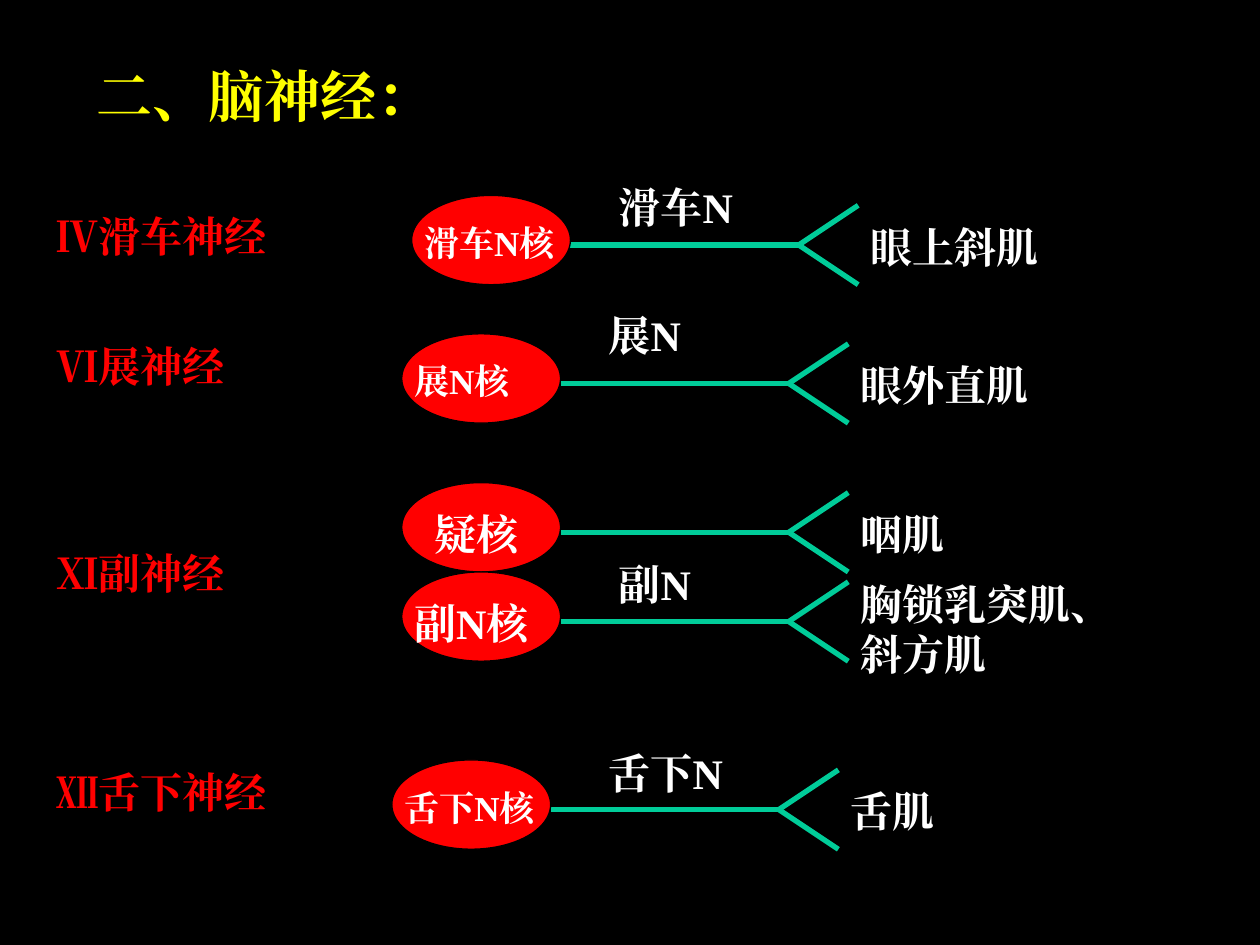
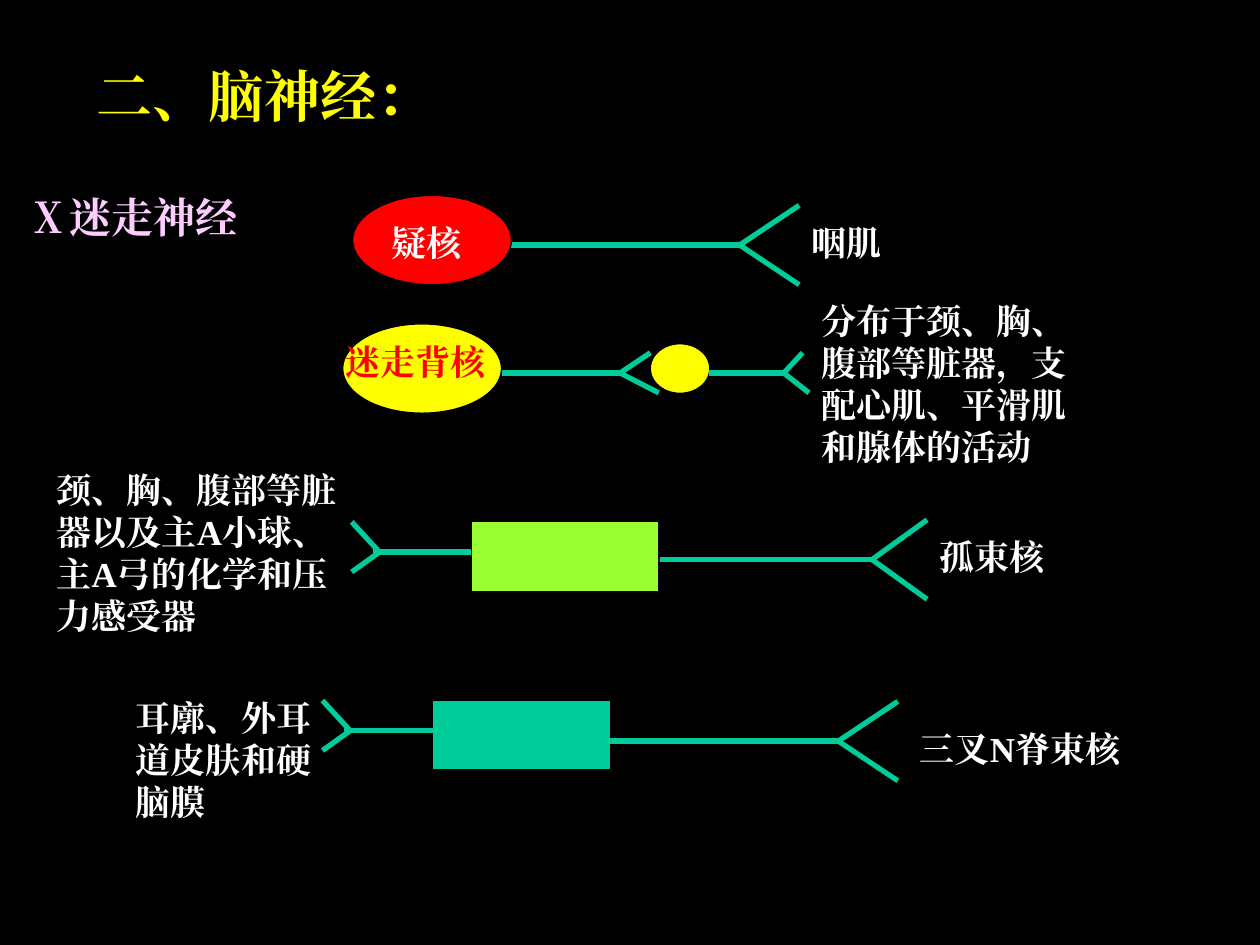
from dataclasses import dataclass

from lxml import etree
from pptx import Presentation
from pptx.dml.color import RGBColor
from pptx.enum import shapes, text
from pptx.oxml import ns
from pptx.util import Cm, Pt


@dataclass(frozen=True)
class Theme:
    font: str = "Times New Roman"
    black: str = "000000"
    white: str = "FFFFFF"
    red: str = "FF0000"
    yellow: str = "FFFF00"
    pink: str = "FFCCFF"
    teal: str = "00CC99"
    lime: str = "99FF33"
    title: int = 32
    body: int = 24
    small: int = 20
    stroke: float = 3
    outline: float = 0.75


T = Theme()
OVAL = shapes.MSO_SHAPE.OVAL
RECT = shapes.MSO_SHAPE.RECTANGLE

# Geometry of a motor nucleus and its nerve, in cm
CELL_W, CELL_H = 3.2, 1.8
AXIS_DY = 1.0
AXON = 4.6
FORK_DX, FORK_DY = 1.2, 0.8
LABEL_DY = 0.4


def rgb(color):
    return RGBColor.from_string(color)


# Basic elements
def add_text(sl, x, y, w, words, size=T.body, color=T.white, indent=0):
    sp = sl.shapes.add_textbox(Cm(x), Cm(y), Cm(w), Pt(size * 1.2 + 7.2))
    tf = sp.text_frame
    tf.word_wrap = True
    tf.auto_size = text.MSO_AUTO_SIZE.SHAPE_TO_FIT_TEXT
    p = tf.paragraphs[0]
    if indent:
        p._p.get_or_add_pPr().set("indent", str(Cm(indent)))
    r = p.add_run()
    r.text = words
    r.font.size, r.font.bold, r.font.name = Pt(size), True, T.font
    r.font.color.rgb = rgb(color)
    ea = etree.SubElement(r._r.get_or_add_rPr(), ns.qn("a:ea"))
    ea.set("typeface", T.font)


def add_body(sl, kind, x, y, w, h, color):
    sp = sl.shapes.add_shape(kind, Cm(x), Cm(y), Cm(w), Cm(h))
    sp.shadow.inherit = False
    sp.fill.solid()
    sp.fill.fore_color.rgb = rgb(color)
    sp.line.color.rgb = rgb(T.black)
    sp.line.width = Pt(T.outline)


def add_line(sl, start, end):
    ends = [Cm(v) for v in (*start, *end)]
    ln = sl.shapes.add_connector(shapes.MSO_CONNECTOR.STRAIGHT, *ends)
    ln.line.color.rgb = rgb(T.teal)
    ln.line.width = Pt(T.stroke)
    etree.SubElement(ln._element.spPr, ns.qn("a:effectLst"))


# Nerve elements
def add_fibre(sl, x, y, joint_x, prongs, overrun=0):
    """Draw a fibre along y that splits into prongs at joint_x."""
    add_line(sl, (x, y), (joint_x - overrun, y))
    for tip in prongs:
        add_line(sl, (joint_x, y), tip)


def add_motor_row(sl, x, y, nucleus, size, muscle, muscle_size=T.body,
                  indent=0, muscle_dy=LABEL_DY):
    axis, joint = y + AXIS_DY, x + CELL_W + AXON
    tip = joint + FORK_DX
    add_fibre(sl, x + CELL_W, axis, joint,
              [(tip, axis - FORK_DY), (tip, axis + FORK_DY)])
    add_body(sl, OVAL, x, y, CELL_W, CELL_H, T.red)
    add_text(sl, x, y + LABEL_DY, 3.6, nucleus, size, indent=indent)
    add_text(sl, tip, y + muscle_dy, 4.8, muscle, muscle_size)


def add_sensory_row(sl, ganglion, color, root, endings):
    """root: start x, y, joint x, fork width; endings: start x, y, joint x."""
    add_body(sl, RECT, *ganglion, color)
    x, y, joint, fork = root
    add_fibre(sl, x, y, joint,
              [(joint + fork, y - FORK_DY), (joint + fork, y + FORK_DY)])
    x, y, joint = endings
    add_fibre(sl, x, y, joint,
              [(joint - 0.56, y + 0.4), (joint - 0.56, y - 0.61)], overrun=0.13)


def new_slide(prs):
    sl = prs.slides.add_slide(prs.slide_layouts[6])
    sl.background.fill.solid()
    sl.background.fill.fore_color.rgb = rgb(T.black)
    add_text(sl, 1.7, 1.12, 8.1, "二、脑神经：", T.title, T.yellow)
    return sl


# Slides
def motor_slide(prs):
    sl = new_slide(prs)
    for y, w, name in [(4.11, 5.6, "Ⅳ滑车神经"), (6.73, 4.6, "Ⅵ展神经"),
                       (10.92, 4.0, "Ⅺ副神经"), (15.32, 5.0, "Ⅻ舌下神经")]:
        add_text(sl, 0.89, y, w, name, color=T.red)

    add_motor_row(sl, 8.3, 3.94, "滑车N核", T.small, "眼上斜肌")
    add_motor_row(sl, 8.1, 6.73, "展N核", T.small, "眼外直肌")
    add_motor_row(sl, 8.1, 9.73, "疑核", T.body, "咽肌", indent=0.42)
    add_motor_row(sl, 8.1, 11.53, "副N核", T.body, "胸锁乳突肌、斜方肌",
                  muscle_dy=0)
    add_motor_row(sl, 7.9, 15.32, "舌下N核", T.small, "舌肌")

    for x, y, nerve in [(12.22, 3.53, "滑车N"), (12.02, 6.12, "展N"),
                        (12.22, 11.13, "副N"), (12.02, 14.94, "舌下N")]:
        add_text(sl, x, y, 3.2, nerve)


def vagus_slide(prs):
    sl = new_slide(prs)
    add_text(sl, 0.3, 3.73, 5.0, "Ⅹ迷走神经", color=T.pink)
    add_motor_row(sl, 7.11, 3.94, "疑核", T.small, "咽肌", T.small, indent=0.53)

    # Dorsal nucleus, relayed through a ganglion
    axis = 7.52
    add_fibre(sl, 10.11, axis, 12.5, [(13.11, 7.11), (13.28, 7.92)])
    add_body(sl, OVAL, 6.91, 6.53, CELL_W, CELL_H, T.yellow)
    add_body(sl, OVAL, 13.11, 6.93, 1.2, 1.0, T.yellow)
    add_fibre(sl, 14.3, axis, 15.8, [(16.18, 7.11), (16.31, 7.92)])
    add_text(sl, 6.71, 6.73, 3.6, "迷走背核", T.small, T.red)
    add_text(sl, 16.31, 5.92, 5.61,
             "分布于颈、胸、腹部等脏器，支配心肌、平滑肌和腺体的活动", T.small)

    # Visceral sensory fibres
    add_sensory_row(sl, (9.5, 10.52, 3.78, 1.4), T.lime,
                    (13.31, 11.28, 17.58, 1.11), (9.5, 11.13, 7.65))
    add_text(sl, 0.89, 9.32, 6.2,
             "颈、胸、腹部等脏器以及主A小球、主A弓的化学和压力感受器", T.small)
    add_text(sl, 18.69, 10.67, 3.0, "孤束核", T.small)

    # Somatic sensory fibres
    add_sensory_row(sl, (8.71, 14.12, 3.6, 1.4), T.teal,
                    (12.29, 14.94, 16.9, FORK_DX), (8.89, 14.73, 7.06))
    add_text(sl, 2.49, 13.92, 4.19, "耳廓、外耳道皮肤和硬脑膜", T.small)
    add_text(sl, 18.11, 14.53, 5.0, "三叉N脊束核", T.small, indent=0.18)


def main():
    prs = Presentation()
    prs.slide_width, prs.slide_height = Cm(25.4), Cm(19.05)
    motor_slide(prs)
    vagus_slide(prs)
    prs.save("out.pptx")


if __name__ == "__main__":
    main()
